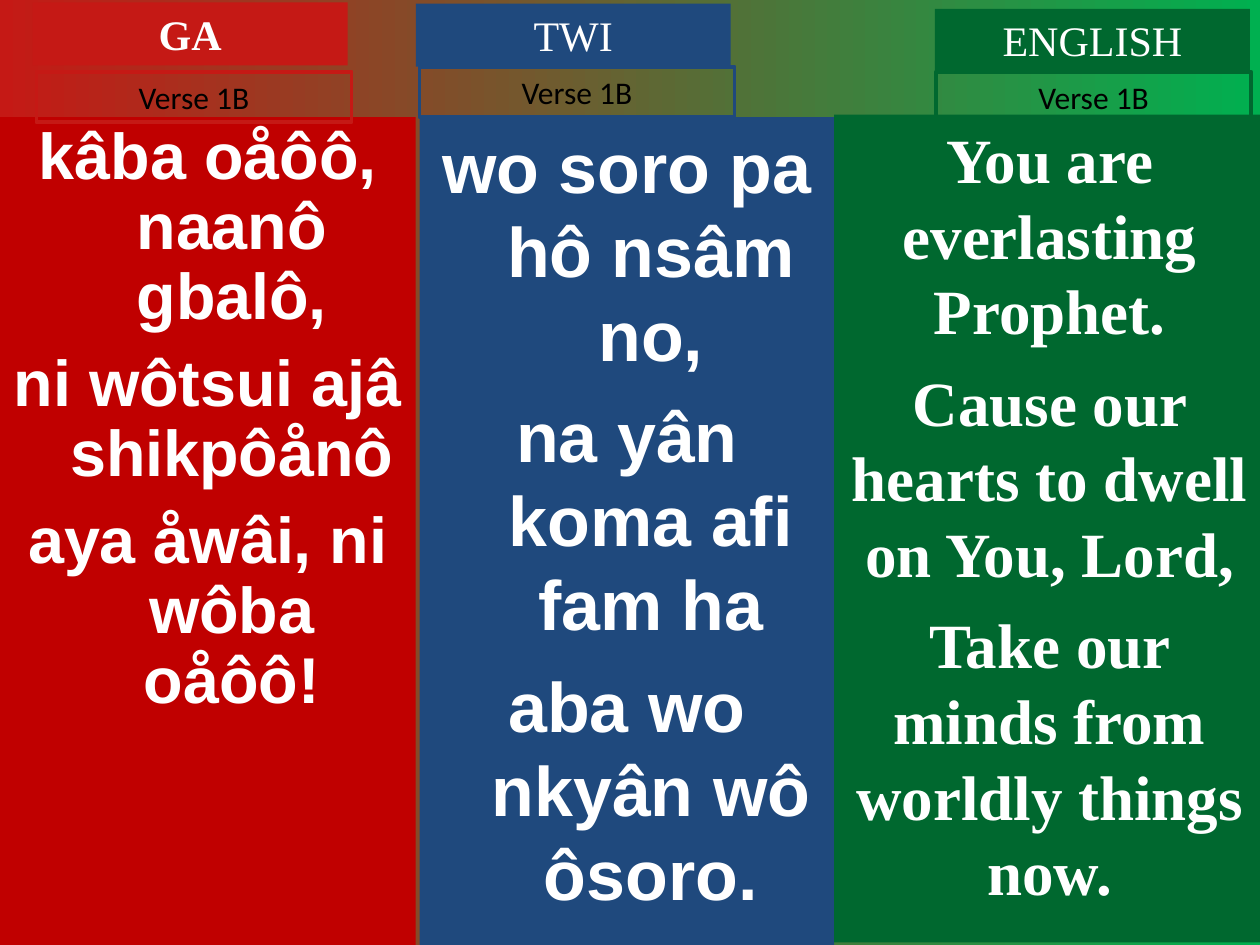
from dataclasses import dataclass

from pptx import Presentation
from pptx import util as u
from pptx.dml import color
from pptx.enum import shapes, text


@dataclass(frozen=True)
class Theme:
    white: str = "FFFFFF"
    black: str = "000000"
    red: str = "C51915"
    deep_red: str = "C00000"
    blue: str = "1F497D"
    green: str = "00682F"
    bright_green: str = "00B050"
    heading_size: int = 24
    verse_size: int = 18
    ga_size: int = 37
    twi_size: int = 40
    english_size: int = 36
    sans: str = "Arial"
    serif: str = "Times New Roman"
    label: str = "Calibri"


theme = Theme()


def rgb(value):
    return color.RGBColor.from_string(value)


def add_box(page, place, lines, font, fill=None, outline=None, grow=False, **formats):
    box = page.shapes.add_shape(
        shapes.MSO_SHAPE.RECTANGLE, *[u.Inches(length) for length in place])
    box.shadow.inherit = False
    if fill:
        box.fill.solid()
        box.fill.fore_color.rgb = rgb(fill)
    else:
        box.fill.background()
    if outline:
        box.line.color.rgb = rgb(outline)
        box.line.width = u.Pt(2.25)
    else:
        box.line.fill.background()
    frame = box.text_frame
    frame.word_wrap = True
    frame.vertical_anchor = text.MSO_ANCHOR.TOP
    if grow:
        frame.auto_size = text.MSO_AUTO_SIZE.SHAPE_TO_FIT_TEXT
    name, size, shade, bold = font
    for index, line in enumerate(lines):
        para = frame.add_paragraph() if index else frame.paragraphs[0]
        para.alignment = text.PP_ALIGN.CENTER
        for key, value in formats.items():
            if index or key != "space_before":
                setattr(para, key, value)
        span = para.add_run()
        span.text = line
        look = {"name": name, "size": u.Pt(size), "bold": bold}
        for key, value in look.items():
            setattr(span.font, key, value)
        span.font.color.rgb = rgb(shade)
    return box


deck = Presentation()
deck.slide_width = u.Inches(10)
deck.slide_height = u.Inches(7.5)
page = deck.slides.add_slide(deck.slide_layouts[6])

backdrop = page.background.fill
backdrop.gradient()
backdrop.gradient_angle = 0
for stop, shade in zip(backdrop.gradient_stops, (theme.red, theme.bright_green)):
    stop.color.rgb = rgb(shade)

hanging = {"space_before": u.Pt(10)}
columns = [
    ((0, 0.93, 3.3, 6.57), theme.deep_red, theme.sans, theme.ga_size,
     {"space_before": u.Pt(10), "line_spacing": 0.9}, True,
     ["kâba oåôô, naanô gbalô,", "ni wôtsui ajâ shikpôånô", "aya åwâi, ni wôba oåôô!"]),
    ((3.33, 0.93, 3.29, 6.57), theme.blue, theme.sans, theme.twi_size,
     {"space_before": u.Pt(10)}, True,
     ["wo soro pa hô nsâm no,", "na yân koma afi fam ha", "aba wo nkyân wô ôsoro."]),
    ((6.62, 0.91, 3.42, 6.57), theme.green, theme.serif, theme.english_size,
     {"space_before": u.Pt(9)}, False,
     ["You are everlasting Prophet.", "Cause our hearts to dwell on You, Lord,",
      "Take our minds from worldly things now."]),
]
for place, fill, name, size, formats, hangs, lines in columns:
    lyrics = add_box(page, place, lines, (name, size, theme.white, True), fill, **formats)
    if hangs:
        for para in lyrics.text_frame.paragraphs:
            properties = para._p.get_or_add_pPr()
            properties.set("marL", str(u.Inches(0.38)))
            properties.set("indent", str(u.Inches(-0.38)))

headings = [
    ("GA", theme.red, True, (0.26, 0.02), (0.29, 0.57)),
    ("TWI", theme.blue, False, (3.3, 0.03), (3.33, 0.53)),
    ("ENGLISH", theme.green, False, (7.42, 0.07), (7.43, 0.57)),
]
for language, shade, bold, heading_at, verse_at in headings:
    add_box(page, (*heading_at, 2.5, 0.5), [language],
            (theme.serif, theme.heading_size, theme.white, bold), fill=shade, grow=True)
    add_box(page, (*verse_at, 2.5, 0.4), ["Verse 1B"],
            (theme.label, theme.verse_size, theme.black, False), outline=shade, grow=True)

deck.save("out.pptx")
